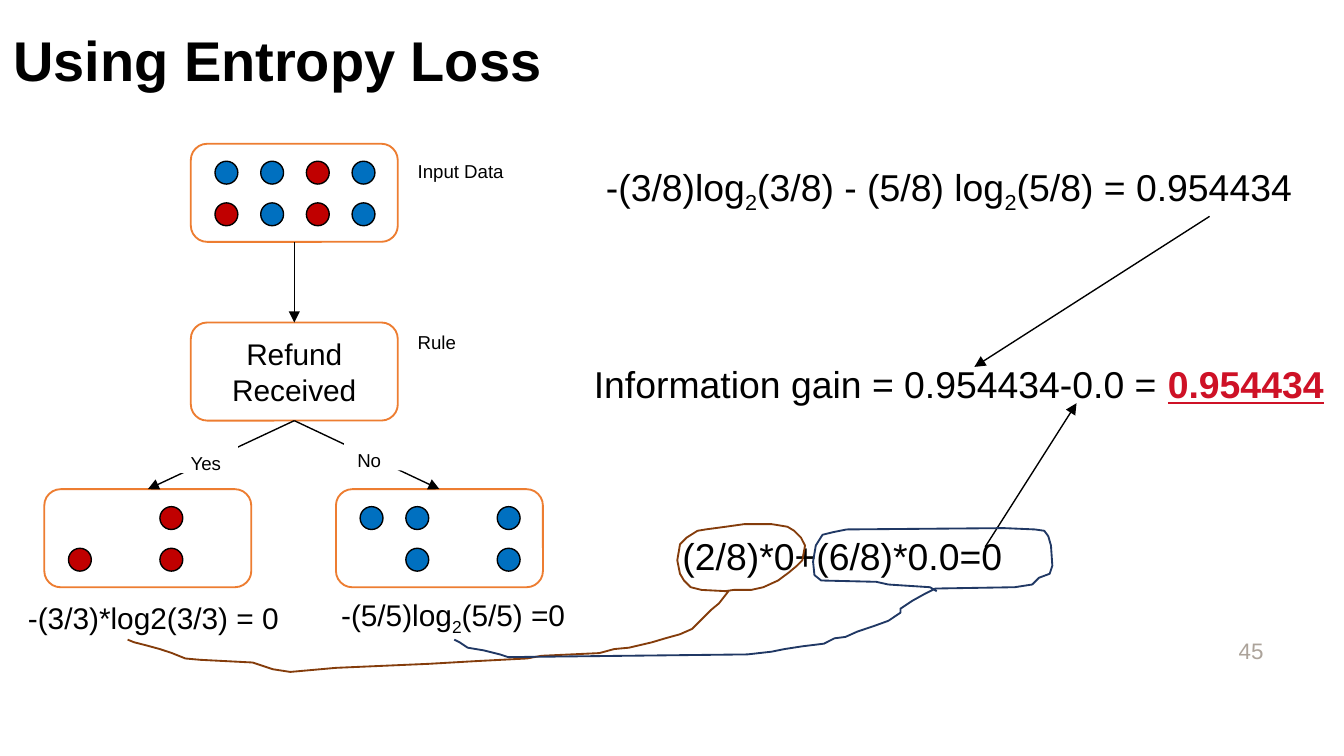
from dataclasses import dataclass

from lxml.etree import SubElement
from pptx import Presentation
from pptx.dml.color import RGBColor
from pptx.enum.shapes import MSO_CONNECTOR, MSO_SHAPE
from pptx.enum.text import MSO_ANCHOR, PP_ALIGN
from pptx.oxml.ns import qn
from pptx.util import Inches, Pt

BLACK = RGBColor(0x00, 0x00, 0x00)
WHITE = RGBColor(0xFF, 0xFF, 0xFF)
GRAY = RGBColor(0xAC, 0xA3, 0x9A)
ORANGE = RGBColor(0xED, 0x7D, 0x31)
BLUE = RGBColor(0x00, 0x70, 0xC0)
RED = RGBColor(0xC0, 0x00, 0x00)
CRIMSON = RGBColor(0xCE, 0x11, 0x26)
BROWN = RGBColor(0x84, 0x3C, 0x0B)
NAVY = RGBColor(0x20, 0x38, 0x64)

SLIDE_WIDTH = Inches(10)
SLIDE_HEIGHT = SLIDE_WIDTH * 9 // 16
NODE_WIDTH, NODE_HEIGHT = 1.54, 0.73
DOT_SIZE = 0.17
DOT_COLORS = {"B": BLUE, "R": RED}


@dataclass
class TextRun:
    text: str
    color: RGBColor = BLACK
    bold: bool = False
    underline: bool = False
    subscript: bool = False


@dataclass
class Node:
    left: float
    top: float
    dots: tuple[str, ...] = ()  # One letter per column, a dot leaves a gap
    text: str = ""


@dataclass
class Label:
    text: str
    left: float
    top: float
    width: float


@dataclass
class Formula:
    runs: list[TextRun]
    left: float
    top: float
    width: float
    height: float
    size: int = 20
    wrap: bool = True


@dataclass
class Arrow:
    start: tuple[float, float]
    end: tuple[float, float]


@dataclass
class Stroke:
    color: RGBColor
    points: list[tuple[float, float]]


NODES = [
    Node(1.42, 1.07, ("BBRB", "RBRB")),
    Node(1.42, 2.4, text="Refund Received"),
    Node(0.33, 3.64, ("..R.", "R.R.")),
    Node(2.5, 3.64, ("BB.B", ".B.B")),
]
LABELS = [
    Label("Input Data", 3.01, 1.14, 1.26),
    Label("Rule", 3.01, 2.41, 1.26),
    Label("Yes", 1.32, 3.31, 0.45),
    Label("No", 2.56, 3.29, 0.45),
]
TWO = TextRun("2", subscript=True)
FORMULAS = [
    Formula([TextRun("-(3/8)log"), TWO, TextRun("(3/8) - (5/8) log"), TWO,
             TextRun("(5/8) = 0.954434")], 4.41, 1.17, 5.49, 0.44),
    Formula([TextRun("Information gain = 0.954434-0.0 = "),
             TextRun("0.954434", CRIMSON, bold=True, underline=True)],
            4.32, 2.64, 5.67, 0.44, wrap=False),
    Formula([TextRun("(2/8)*0+(6/8)*0.0=0")], 4.98, 3.92, 4.33, 0.44),
    Formula([TextRun("-(3/3)*log2(3/3) = 0")], 0.11, 4.41, 2.17, 0.37, 16),
    Formula([TextRun("-(5/5)log"), TWO, TextRun("(5/5) =0")], 2.44, 4.39, 4.07, 0.64, 16),
]
ARROWS = [
    Arrow((2.19, 1.8), (2.19, 2.4)),
    Arrow((2.19, 3.13), (1.1, 3.64)),
    Arrow((2.19, 3.13), (3.27, 3.64)),
    Arrow((9, 1.61), (7.25, 2.73)),
    Arrow((7.33, 4.07), (8.01, 3)),
]
# Hand-drawn loops that tie each branch to its weighted term
STROKES = [
    Stroke(BROWN, [
        (0.95, 4.76), (1, 4.78), (1.08, 4.8), (1.19, 4.83), (1.28, 4.86), (1.38, 4.9),
        (1.49, 4.91), (1.88, 4.93), (2.03, 4.98), (2.16, 5), (2.5, 4.97), (3.19, 4.94),
        (3.54, 4.92), (3.92, 4.9), (4.03, 4.88), (4.46, 4.86), (4.57, 4.83), (4.68, 4.82),
        (4.85, 4.78), (4.95, 4.75), (5.06, 4.72), (5.15, 4.68), (5.22, 4.61), (5.29, 4.54),
        (5.35, 4.49), (5.42, 4.4), (5.22, 4.39), (5.14, 4.37), (5.09, 4.32), (5.06, 4.27),
        (5.04, 4.17), (5.06, 4.05), (5.11, 4), (5.19, 3.95), (5.25, 3.94), (5.4, 3.92),
        (5.54, 3.9), (5.74, 3.9), (5.86, 3.92), (5.91, 3.95), (5.96, 4), (5.99, 4.06),
        (5.97, 4.17), (5.93, 4.21), (5.87, 4.26), (5.79, 4.32), (5.68, 4.37), (5.59, 4.39),
        (5.46, 4.39), (5.39, 4.4)]),
    Stroke(NAVY, [
        (3.38, 4.76), (3.42, 4.78), (3.48, 4.82), (3.6, 4.84), (3.72, 4.87), (3.78, 4.89),
        (5.56, 4.87), (5.74, 4.85), (5.84, 4.83), (5.97, 4.81), (6.13, 4.79), (6.21, 4.75),
        (6.29, 4.74), (6.38, 4.7), (6.5, 4.66), (6.61, 4.62), (6.7, 4.56), (6.7, 4.53),
        (6.79, 4.47), (6.88, 4.42), (6.96, 4.38), (7.55, 4.37), (7.68, 4.35), (7.73, 4.3),
        (7.81, 4.27), (7.83, 4.21), (7.82, 4.06), (7.8, 3.99), (7.77, 3.95), (7.7, 3.94),
        (7.47, 3.93), (6.3, 3.94), (6.2, 3.96), (6.12, 3.98), (6.07, 4.06), (6.05, 4.18),
        (6.06, 4.28), (6.11, 4.32), (6.52, 4.33), (6.61, 4.35), (6.92, 4.37), (6.97, 4.4)]),
]


def write_text(shape, runs: list[TextRun], *, size: int, align=PP_ALIGN.LEFT,
               anchor=MSO_ANCHOR.TOP, wrap: bool = True, line_spacing: float = 1.0) -> None:
    frame = shape.text_frame
    frame.word_wrap = wrap
    frame.vertical_anchor = anchor
    paragraph = frame.paragraphs[0]
    paragraph.alignment = align
    paragraph.line_spacing = line_spacing
    for item in runs:
        run = paragraph.add_run()
        run.text = item.text
        run.font.name = "Arial"
        run.font.size = Pt(size)
        run.font.color.rgb = item.color
        run.font.bold = item.bold
        run.font.underline = item.underline
        if item.subscript:
            run._r.get_or_add_rPr().set("baseline", "-25000")


def add_text_box(slide, left: float, top: float, width: float, height: float,
                 runs: list[TextRun], **text_format) -> None:
    box = slide.shapes.add_textbox(Inches(left), Inches(top), Inches(width), Inches(height))
    write_text(box, runs, **text_format)


def add_filled_shape(slide, kind: MSO_SHAPE, left: float, top: float, width: float,
                     height: float, *, fill: RGBColor, line: RGBColor | None = None,
                     line_width: float = 1):
    shape = slide.shapes.add_shape(kind, Inches(left), Inches(top), Inches(width), Inches(height))
    shape.shadow.inherit = False
    shape.fill.solid()
    shape.fill.fore_color.rgb = fill
    if line is None:
        shape.line.fill.background()
    else:
        shape.line.color.rgb = line
        shape.line.width = Pt(line_width)
    return shape


def add_node(slide, node: Node) -> None:
    shape = add_filled_shape(slide, MSO_SHAPE.ROUNDED_RECTANGLE, node.left, node.top,
                             NODE_WIDTH, NODE_HEIGHT, fill=WHITE, line=ORANGE)
    if node.text:
        write_text(shape, [TextRun(node.text)], size=16, align=PP_ALIGN.CENTER,
                   anchor=MSO_ANCHOR.MIDDLE)
    for row, letters in enumerate(node.dots):
        for column, letter in enumerate(letters):
            if letter in DOT_COLORS:
                add_filled_shape(slide, MSO_SHAPE.OVAL, node.left + 0.18 + 0.34 * column,
                                 node.top + 0.13 + 0.31 * row, DOT_SIZE, DOT_SIZE,
                                 fill=DOT_COLORS[letter], line=BLACK, line_width=0.75)


def add_label(slide, label: Label) -> None:
    shape = add_filled_shape(slide, MSO_SHAPE.RECTANGLE, label.left, label.top,
                             label.width, 0.21, fill=WHITE)
    write_text(shape, [TextRun(label.text)], size=10)


def add_arrow(slide, arrow: Arrow) -> None:
    connector = slide.shapes.add_connector(
        MSO_CONNECTOR.STRAIGHT, *(Inches(value) for value in arrow.start + arrow.end))
    connector.line.color.rgb = BLACK
    connector.line.width = Pt(0.75)
    SubElement(connector.line._get_or_add_ln(), qn("a:tailEnd"), type="triangle")
    SubElement(connector._element.spPr, qn("a:effectLst"))


def add_stroke(slide, stroke: Stroke) -> None:
    points = [(Inches(x), Inches(y)) for x, y in stroke.points]
    builder = slide.shapes.build_freeform(*points[0])
    builder.add_line_segments(points[1:], close=False)
    shape = builder.convert_to_shape()
    shape.shadow.inherit = False
    shape.fill.background()
    shape.line.color.rgb = stroke.color
    shape.line.width = Pt(1)


def main() -> None:
    presentation = Presentation()
    presentation.slide_width, presentation.slide_height = SLIDE_WIDTH, SLIDE_HEIGHT
    slide = presentation.slides.add_slide(presentation.slide_layouts[6])

    # Title and slide number
    add_text_box(slide, 0, 0, 8.5, 0.94, [TextRun("Using Entropy Loss", bold=True)],
                 size=30, anchor=MSO_ANCHOR.MIDDLE, line_spacing=0.9)
    add_text_box(slide, 7.17, 4.69, 2.33, 0.3, [TextRun("45", GRAY)],
                 size=12, align=PP_ALIGN.RIGHT, anchor=MSO_ANCHOR.MIDDLE)

    # Decision tree; labels cover the middle of the branch arrows
    for node in NODES:
        add_node(slide, node)
    for arrow in ARROWS:
        add_arrow(slide, arrow)
    for label in LABELS:
        add_label(slide, label)

    # Entropy calculations
    for formula in FORMULAS:
        add_text_box(slide, formula.left, formula.top, formula.width, formula.height,
                     formula.runs, size=formula.size, wrap=formula.wrap)
    for stroke in STROKES:
        add_stroke(slide, stroke)

    presentation.save("out.pptx")


if __name__ == "__main__":
    main()
